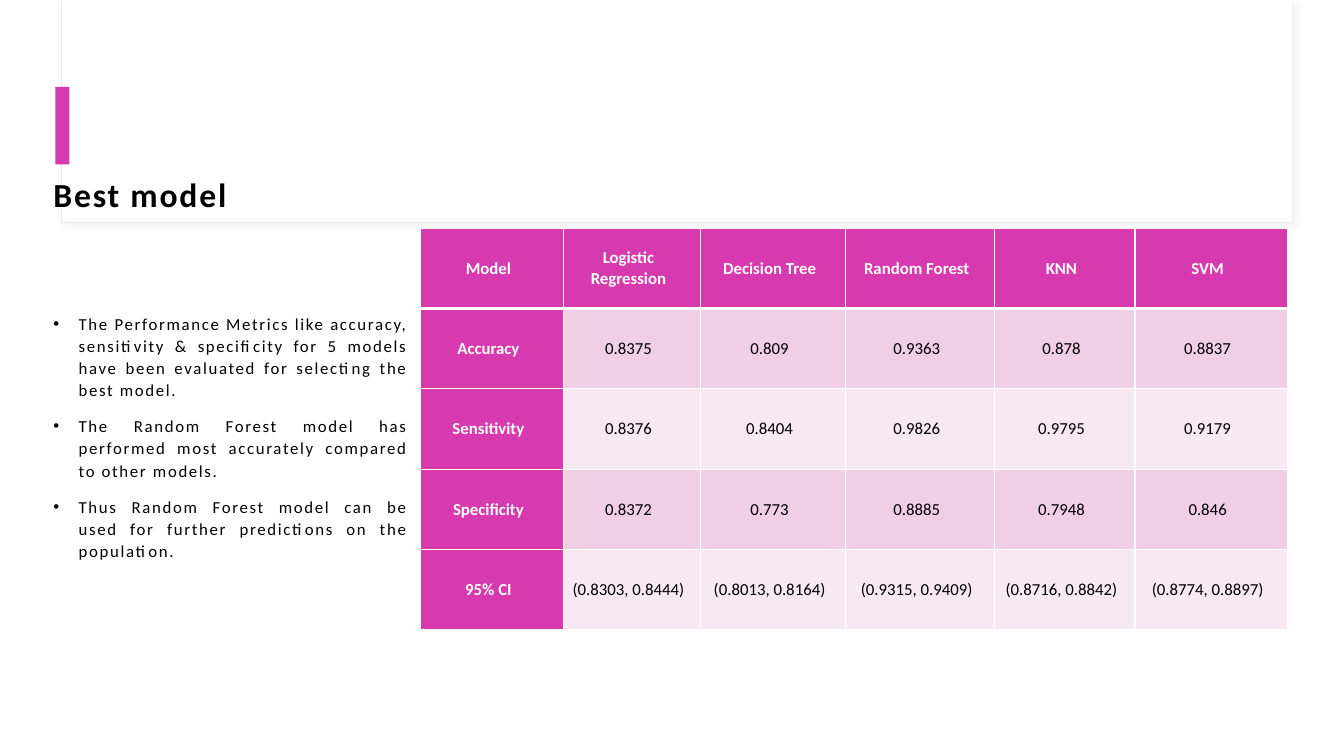
from lxml.etree import SubElement
from pptx import Presentation
from pptx.dml.color import RGBColor
from pptx.enum.shapes import MSO_SHAPE
from pptx.enum.text import MSO_ANCHOR, PP_ALIGN
from pptx.oxml import parse_xml
from pptx.oxml.ns import qn
from pptx.util import Emu, Inches, Pt

NS = 'xmlns:a="http://schemas.openxmlformats.org/drawingml/2006/main"'
PINK, ROSE, BLUSH = "D739AE", "F0CEE3", "F8E8F2"
WHITE, BLACK, RIM, SHADE = "FFFFFF", "000000", "F0E6E5", "D9D9D9"
FONT = "Calibri"


def rgb(code):
    return RGBColor.from_string(code)


class Deck:
    """Draws on one slide; places are percentages of its width and height."""

    def __init__(self, wide, high):
        self.prs = Presentation()
        self.prs.slide_width, self.prs.slide_height = Inches(wide), Inches(high)
        self.slide = self.prs.slides.add_slide(self.prs.slide_layouts[6])

    def across(self, share):
        return Emu(round(self.prs.slide_width * share / 100))

    def down(self, share):
        return Emu(round(self.prs.slide_height * share / 100))

    def place(self, x, y, w, h):
        return self.across(x), self.down(y), self.across(w), self.down(h)

    def style(self, para, size, color, bold=False, track=0):
        font = para.font
        font.name, font.size, font.bold = FONT, Pt(size), bold
        font.color.rgb = rgb(color)
        if track:
            for run in para.runs:
                run._r.get_or_add_rPr().set("spc", str(round(track * 100)))

    def rect(self, box, fill, line=None, shade=None):
        shape = self.slide.shapes.add_shape(MSO_SHAPE.RECTANGLE, *self.place(*box))
        shape.shadow.inherit = False
        shape.fill.solid()
        shape.fill.fore_color.rgb = rgb(fill)
        if line:
            shape.line.color.rgb = rgb(line)
            shape.line.width = Pt(0.75)
        else:
            shape.line.fill.background()
        if shade:
            effects = shape._element.spPr.find(qn("a:effectLst"))
            effects.append(parse_xml(
                f'<a:outerShdw {NS} blurRad="{Pt(4)}" dist="{Pt(3)}" dir="2700000">'
                f'<a:srgbClr val="{shade}"><a:alpha val="30000"/></a:srgbClr>'
                '</a:outerShdw>'))

    def text(self, box, lines, size, bold=False, track=0, space=1.0,
             bullet=False, anchor=MSO_ANCHOR.TOP):
        frame = self.slide.shapes.add_textbox(*self.place(*box)).text_frame
        frame.word_wrap = True
        frame.vertical_anchor = anchor
        frame.margin_left = frame.margin_right = frame.margin_top = Inches(0.12)
        frame.margin_bottom = Inches(0.1)
        frame.text = "\n".join(lines)
        for para in frame.paragraphs:
            para.line_spacing = space
            self.style(para, size, BLACK, bold, track)
            if bullet:
                self.bullet(para)

    def bullet(self, para):
        para.alignment = PP_ALIGN.JUSTIFY
        para.space_before = Pt(10)
        props = para._p.get_or_add_pPr()
        props.set("marL", str(Inches(0.25)))
        props.set("indent", str(-Inches(0.25)))
        head = props.find(qn("a:defRPr"))
        head.addprevious(parse_xml(f'<a:buFont {NS} typeface="Arial"/>'))
        head.addprevious(parse_xml(f'<a:buChar {NS} char="•"/>'))

    def table(self, x, y, widths, row, data):
        box = self.place(x, y, sum(widths), row * len(data))
        table = self.slide.shapes.add_table(len(data), len(widths), *box).table
        for col, width in zip(table.columns, widths):
            col.width = self.across(width)
        for r, values in enumerate(data):
            table.rows[r].height = self.down(row)
            for c, value in enumerate(values):
                key = r == 0 or c == 0
                fill = PINK if key else (ROSE if r % 2 else BLUSH)
                self.cell(table.cell(r, c), value, fill, key)
                self.edges(table.cell(r, c), 3 if r == 1 else 1, 3 if r == 0 else 1)

    def cell(self, cell, value, fill, key):
        cell.fill.solid()
        cell.fill.fore_color.rgb = rgb(fill)
        cell.vertical_anchor = MSO_ANCHOR.MIDDLE
        cell.margin_left, cell.margin_right = Inches(0.07), Inches(0.14)
        cell.margin_top = cell.margin_bottom = 0
        cell.text = value
        para = cell.text_frame.paragraphs[0]
        para.alignment = PP_ALIGN.CENTER
        para.space_before = Pt(4)
        self.style(para, 12, WHITE if key else BLACK, key)

    def edges(self, cell, top, bottom):
        props = cell._tc.get_or_add_tcPr()
        sides = {"lnL": 1, "lnR": 1, "lnT": top, "lnB": bottom}
        for at, (side, width) in enumerate(sides.items()):
            line = parse_xml(f'<a:{side} {NS} w="{Pt(width)}"/>')
            solid = SubElement(line, qn("a:solidFill"))
            SubElement(solid, qn("a:srgbClr")).set("val", WHITE)
            props.insert(at, line)


def main():
    deck = Deck(13.33, 7.5)

    # Header frame and accent bar
    deck.rect((4.58, 0, 91.6, 29.47), WHITE, RIM, SHADE)
    deck.rect((4.65, 0, 91.52, 29.33), WHITE)
    deck.rect((4.12, 11.5, 1.05, 10.25), PINK)

    # Title and findings
    left, wide = 3.08, 28.2
    deck.text((left, 16.93, wide, 18), ["Best model"], 24, bold=True,
              track=1.3, space=0.9, anchor=MSO_ANCHOR.MIDDLE)
    deck.text((left, 39.6, wide, 46.8), [
        "The Performance Metrics like accuracy, sensitivity & specificity for 5 "
        "models have been evaluated for selecting the best model.",
        "The Random Forest model has performed most accurately compared to "
        "other models.",
        "Thus Random Forest model can be used for further predictions on the "
        "population.",
    ], 12, track=1.2, space=1.1, bullet=True)

    # Metrics by model
    deck.table(left + wide, 30.2, [10.65, 10.2, 10.8, 11.1, 10.43, 11.33], 10.62, [
        ["Model", "Logistic Regression", "Decision Tree", "Random Forest", "KNN", "SVM"],
        ["Accuracy", "0.8375", "0.809", "0.9363", "0.878", "0.8837"],
        ["Sensitivity", "0.8376", "0.8404", "0.9826", "0.9795", "0.9179"],
        ["Specificity", "0.8372", "0.773", "0.8885", "0.7948", "0.846"],
        ["95% CI", "(0.8303, 0.8444)", "(0.8013, 0.8164)", "(0.9315, 0.9409)",
         "(0.8716, 0.8842)", "(0.8774, 0.8897)"],
    ])

    deck.prs.save("out.pptx")


if __name__ == "__main__":
    main()
